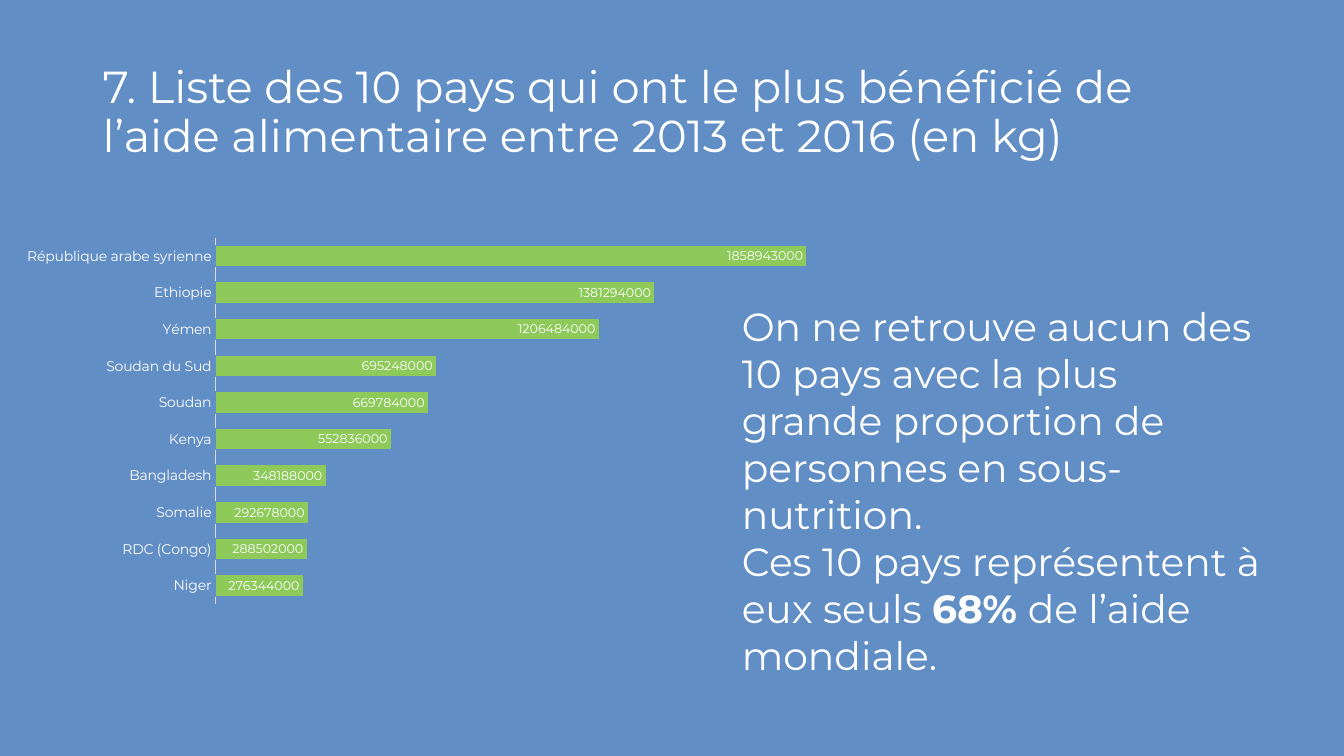
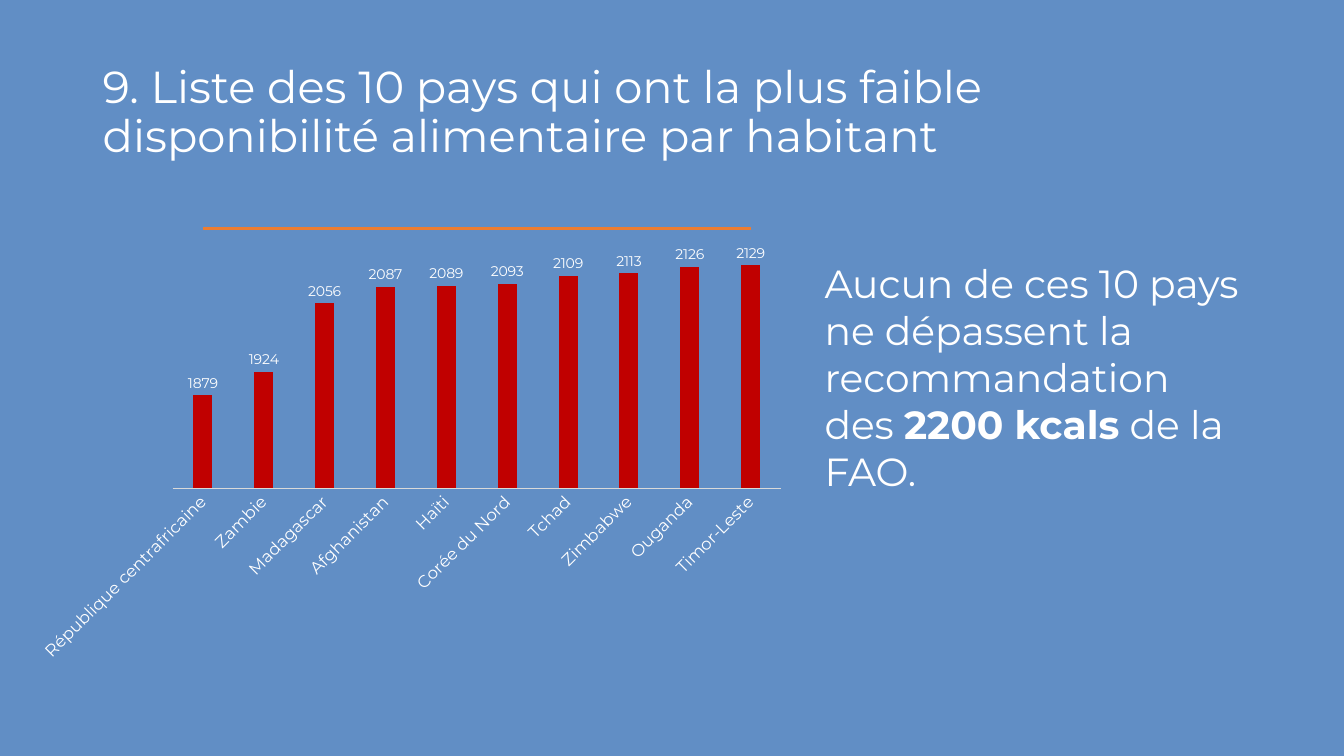
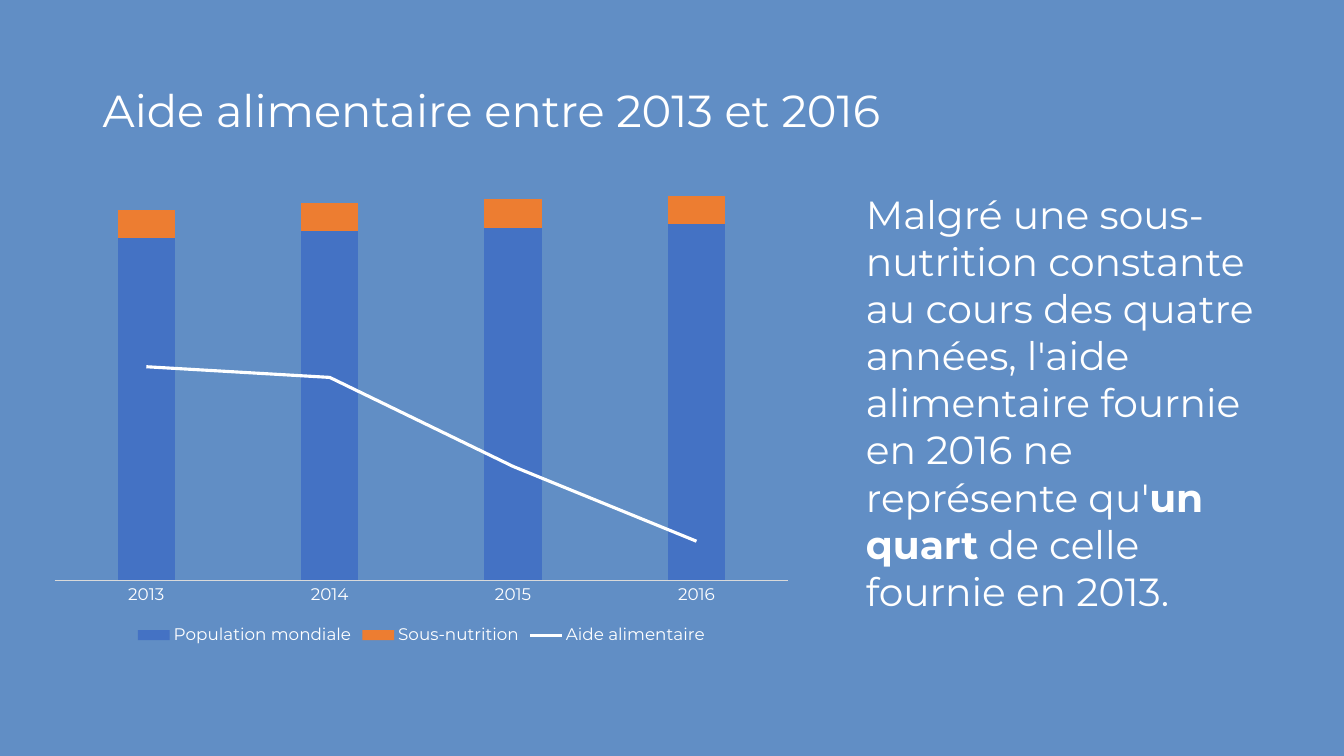
from dataclasses import dataclass
from typing import Any

from lxml import etree
from pptx import Presentation
from pptx import util as u
from pptx.chart.data import CategoryChartData
from pptx.dml.color import RGBColor
from pptx.enum import chart as ec
from pptx.enum import text as et
from pptx.oxml import parse_xml
from pptx.oxml.ns import nsdecls, qn

SKY = RGBColor(0x61, 0x8E, 0xC5)
WHITE = RGBColor(0xFF, 0xFF, 0xFF)
BLACK = RGBColor(0, 0, 0)
GREY = RGBColor(0xD9, 0xD9, 0xD9)
LIME = RGBColor(0x92, 0xD0, 0x50)
RED = RGBColor(0xC0, 0, 0)
ORANGE = RGBColor(0xED, 0x7D, 0x31)
BLUE = RGBColor(0x44, 0x72, 0xC4)
FACE = "Montserrat"
KIND = ec.XL_CHART_TYPE
SPOT = ec.XL_LABEL_POSITION
Box = tuple[float, float, float, float]
TITLE: Box = (0.92, 0.4, 11.5, 1.45)


@dataclass
class Series:
    name: str
    vals: list[int]
    color: RGBColor
    line: bool = False
    alpha: int = 100
    edge: RGBColor | None = None


@dataclass
class Graph:
    kind: Any
    box: Box
    plot: Box
    cats: list[str]
    series: list[Series]
    low: float
    high: float
    gap: int
    size: int = 12
    label: int = 0
    spot: Any = None
    turn: int = 0
    legend: bool = False


@dataclass
class Page:
    title: str
    graph: Graph
    note: Box
    runs: list[tuple[str, bool]]


PAGES = [
    Page(
        "7. Liste des 10 pays qui ont le plus bénéficié de l’aide alimentaire entre 2013 et 2016 (en kg)",
        Graph(
            KIND.BAR_CLUSTERED, (-1.37, 2.2, 10.02, 3.95), (0.35, 0.04, 0.63, 0.92),
            ["Niger", "RDC (Congo)", "Somalie", "Bangladesh", "Kenya", "Soudan",
             "Soudan du Sud", "Yémen", "Ethiopie", "République arabe syrienne"],
            [Series("Series 1",
                    [276344000, 288502000, 292678000, 348188000, 552836000, 669784000,
                     695248000, 1206484000, 1381294000, 1858943000],
                    LIME, alpha=91, edge=SKY)],
            0, 2_000_000_000, 70, size=10, label=9, spot=SPOT.INSIDE_END,
        ),
        (7.26, 2.95, 5.37, 3.87),
        [("On ne retrouve aucun des 10 pays avec la plus grande proportion de personnes en sous-nutrition.", False),
         ("\n", False),
         ("Ces 10 pays représentent à eux seuls ", False),
         ("68% ", True),
         ("de l’aide mondiale.", False)],
    ),
    Page(
        "9. Liste des 10 pays qui ont la plus faible disponibilité alimentaire par habitant",
        Graph(
            KIND.COLUMN_CLUSTERED, (0.26, 1.65, 7.64, 4.99), (0.19, 0.02, 0.79, 0.62),
            ["République centrafricaine", "Zambie", "Madagascar", "Afghanistan", "Haïti",
             "Corée du Nord", "Tchad", "Zimbabwe", "Ouganda", "Timor-Leste"],
            [Series("Series 1", [1879, 1924, 2056, 2087, 2089, 2093, 2109, 2113, 2126, 2129], RED),
             Series("Series 2", [2200] * 10, ORANGE, line=True)],
            1700, 2300, 219, label=10, spot=SPOT.OUTSIDE_END, turn=-45,
        ),
        (8.08, 2.52, 4.34, 2.46),
        [("Aucun de ces 10 pays ne dépassent la recommandation des ", False),
         ("2200 kcals", True),
         (" de la FAO.", False)],
    ),
    Page(
        "Aide alimentaire entre 2013 et 2016",
        Graph(
            KIND.COLUMN_STACKED, (0.39, 1.58, 7.58, 4.86), (0.02, 0.06, 0.96, 0.8),
            ["2013", "2014", "2015", "2016"],
            [Series("Population mondiale", [96, 98, 99, 100], BLUE),
             Series("Sous-nutrition", [8] * 4, ORANGE),
             Series("Aide alimentaire", [60, 57, 32, 11], WHITE, line=True)],
            0, 110, 219, legend=True,
        ),
        (8.49, 1.84, 4.34, 4.34),
        [("Malgré une sous-nutrition constante au cours des quatre années, l'aide alimentaire "
          "fournie en 2016 ne représente qu'", False),
         ("un quart", True),
         (" de celle fournie en 2013.", False)],
    ),
]


def put(obj: Any, **vals: Any) -> None:
    for key, val in vals.items():
        setattr(obj, key, val)


def style(font: Any, size: float, color: RGBColor = WHITE, name: str = FACE, bold: bool = False) -> None:
    put(font, size=u.Pt(size), name=name, bold=bold)
    font.color.rgb = color


def inch(box: Box) -> list[Any]:
    return [u.Inches(x) for x in box]


def write(slide: Any, box: Box, runs: list[tuple[str, bool]], size: int, frame: dict, para: dict) -> None:
    body = slide.shapes.add_textbox(*inch(box)).text_frame
    put(body, word_wrap=True, **frame)
    line = body.paragraphs[0]
    put(line, **para)
    for words, bold in runs:
        if words == "\n":
            line.add_line_break()
            continue
        run = line.add_run()
        run.text = words
        style(run.font, size, bold=bold)


def place(chart: Any, plot: Box) -> None:
    area = chart.plots[0]._element.getparent()
    for old in area.findall(qn("c:layout")):
        area.remove(old)
    sides = "".join(f'<c:{key} val="{val}"/>' for key, val in zip("xywh", plot))
    area.insert(0, parse_xml(
        f'<c:layout {nsdecls("c")}><c:manualLayout><c:layoutTarget val="inner"/>'
        f'<c:xMode val="edge"/><c:yMode val="edge"/>{sides}</c:manualLayout></c:layout>'))


def split(chart: Any) -> None:
    bars = chart.plots[0]._element
    ser = bars.findall(qn("c:ser"))[-1]
    for old in ser.findall(qn("c:invertIfNegative")):
        ser.remove(old)
    axes = "".join(f'<c:axId val="{ax.get("val")}"/>' for ax in bars.findall(qn("c:axId")))
    line = parse_xml(
        f'<c:lineChart {nsdecls("c")}><c:grouping val="standard"/><c:varyColors val="0"/>'
        f'<c:marker val="1"/>{axes}</c:lineChart>')
    line.insert(2, ser)
    bars.addnext(line)


def paint(ser: Any, data: Series) -> None:
    look = ser.format
    if data.line:
        put(ser, smooth=False)
        ser.marker.style = ec.XL_MARKER_STYLE.NONE
        look.line.color.rgb = data.color
        look.line.width = u.Pt(2.25)
        return
    look.fill.solid()
    look.fill.fore_color.rgb = data.color
    if data.alpha < 100:
        tone = look.fill._xPr.find(qn("a:solidFill"))[0]
        etree.SubElement(tone, qn("a:alpha")).set("val", str(data.alpha * 1000))
    if data.edge:
        look.line.color.rgb = data.edge
        look.line.width = u.Pt(0.75)


def draw(slide: Any, graph: Graph) -> None:
    data = CategoryChartData(number_format="General")
    data.categories = graph.cats
    for row in graph.series:
        data.add_series(row.name, row.vals)
    chart = slide.shapes.add_chart(graph.kind, *inch(graph.box), data).chart
    put(chart, has_title=False, has_legend=graph.legend)
    style(chart.font, 10, BLACK, "Calibri")
    bars = chart.plots[0]
    put(bars, gap_width=graph.gap, vary_by_categories=False)
    if graph.kind == KIND.COLUMN_STACKED:
        bars.overlap = 100
    put(chart.value_axis, visible=False, has_major_gridlines=False,
        minimum_scale=graph.low, maximum_scale=graph.high)
    axis = chart.category_axis
    put(axis, major_tick_mark=ec.XL_TICK_MARK.NONE, minor_tick_mark=ec.XL_TICK_MARK.NONE,
        has_major_gridlines=False)
    axis.format.line.color.rgb = GREY
    axis.format.line.width = u.Pt(0.75)
    style(axis.tick_labels.font, graph.size)
    if graph.turn:
        turn = axis._element.find(qn("c:txPr")).find(qn("a:bodyPr"))
        turn.set("rot", str(graph.turn * 60000))
    if graph.series[-1].line:
        split(chart)
    rows = [ser for plot in chart.plots for ser in plot.series]
    for ser, row in zip(rows, graph.series):
        paint(ser, row)
    if graph.label:
        tags = rows[0].data_labels
        put(tags, show_value=True, position=graph.spot)
        style(tags.font, graph.label)
    if graph.legend:
        put(chart.legend, position=ec.XL_LEGEND_POSITION.BOTTOM, include_in_layout=False)
        style(chart.legend.font, 12)
    place(chart, graph.plot)


def main() -> None:
    deck = Presentation()
    put(deck, slide_width=u.Inches(13.33), slide_height=u.Inches(7.5))
    back = deck.slide_master.background.fill
    back.solid()
    back.fore_color.rgb = SKY
    for page in PAGES:
        slide = deck.slides.add_slide(deck.slide_layouts[6])
        write(slide, TITLE, [(page.title, False)], 32,
              {"vertical_anchor": et.MSO_ANCHOR.MIDDLE}, {"line_spacing": 0.9})
        draw(slide, page.graph)
        write(slide, page.note, page.runs, 28,
              {"auto_size": et.MSO_AUTO_SIZE.SHAPE_TO_FIT_TEXT}, {})
    deck.save("out.pptx")


if __name__ == "__main__":
    main()
